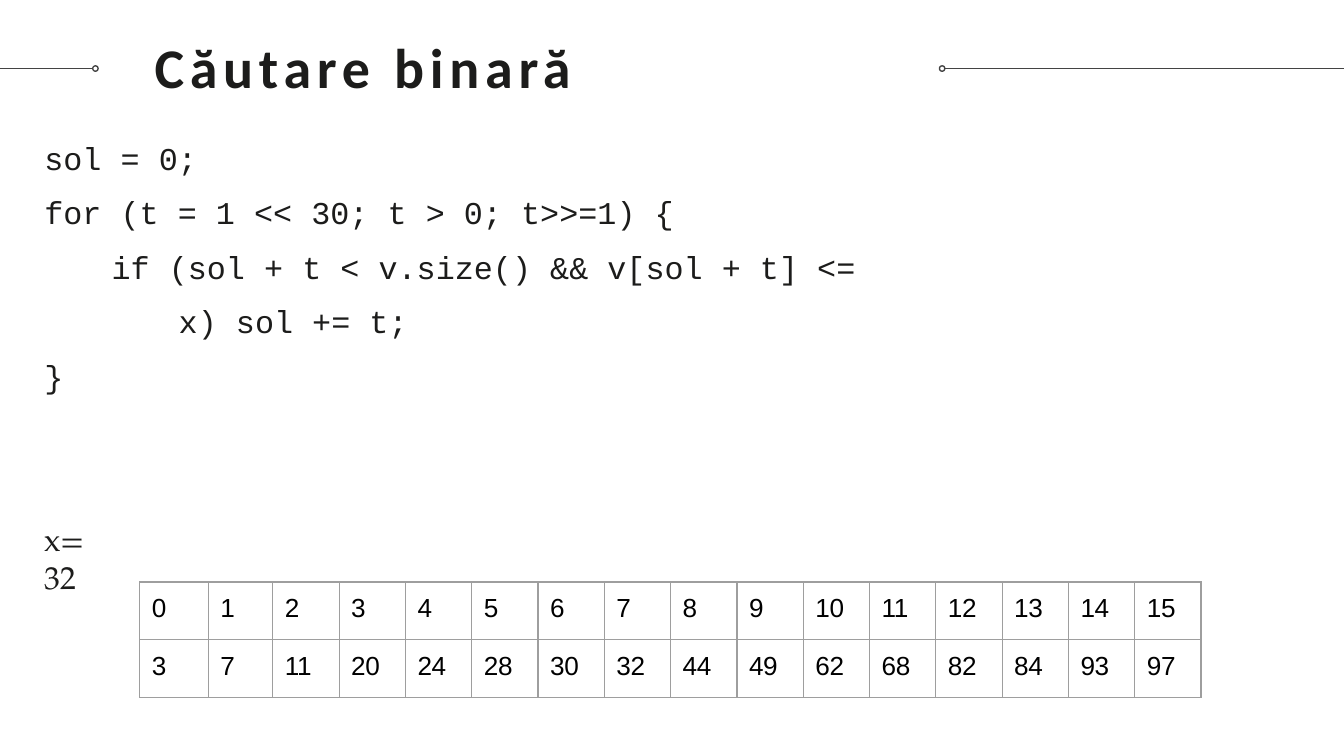
import pptx
import pptx.util
import pptx.dml.color
import pptx.enum.shapes
import pptx.enum.text
import pptx.oxml
import pptx.oxml.ns

Inches = pptx.util.Inches
Pt = pptx.util.Pt
RGB = pptx.dml.color.RGBColor.from_string

theme = {
    "rule": "434343", "grid": "9E9E9E", "rule_w": 0.75,
    "title": {"name": "Calibri", "size": Pt(30), "bold": True, "ink": "1C1C1B"},
    "code": {"name": "Courier New", "size": Pt(17), "bold": False, "ink": "1C1C1B"},
    "key": {"name": "TeX Gyre Pagella", "size": Pt(17), "bold": False, "ink": "1C1C1B"},
    "cell": {"name": "Arial", "size": Pt(14), "bold": False, "ink": "000000"},
}


def write(para, text, look, left=0.01, hang=0, space=0, lines=1, track=0):
    form = {"alignment": pptx.enum.text.PP_ALIGN.LEFT,
            "space_before": Pt(space), "line_spacing": lines}
    for name, value in form.items():
        setattr(para, name, value)
    props = para._p.get_or_add_pPr()
    props.set("marL", str(Inches(left)))
    props.set("indent", str(Inches(hang)))
    props.append(props.makeelement(pptx.oxml.ns.qn("a:buNone"), {}))
    run = para.add_run()
    run.text = text
    for name, value in theme[look].items():
        if name == "ink":
            run.font.color.rgb = RGB(value)
        else:
            setattr(run.font, name, value)
    run._r.get_or_add_rPr().set("spc", str(round(track * 100)))


def place(shape, box, top, right=0):
    for name, value in zip(("left", "top", "width", "height"), box):
        setattr(shape, name, Inches(value))
    form = {"margin_left": 0, "margin_top": Inches(top),
            "margin_right": Inches(right), "margin_bottom": 0, "word_wrap": True,
            "vertical_anchor": pptx.enum.text.MSO_ANCHOR.TOP,
            "auto_size": pptx.enum.text.MSO_AUTO_SIZE.SHAPE_TO_FIT_TEXT}
    for name, value in form.items():
        setattr(shape.text_frame, name, value)
    return shape.text_frame


deck = pptx.Presentation()
deck.slide_width = Inches(10)
deck.slide_height = Inches(10) * 9 // 16
slide = deck.slides.add_slide(deck.slide_layouts[1])
shapes = slide.shapes

for start, end, ring in ((0, 0.69, 0.69), (7.03, 10, 6.99)):
    rule = shapes.add_connector(
        pptx.enum.shapes.MSO_CONNECTOR.STRAIGHT,
        Inches(start), Inches(0.51), Inches(end), Inches(0.51))
    rule._element.spPr.append(
        rule._element.makeelement(pptx.oxml.ns.qn("a:effectLst"), {}))
    dot = shapes.add_shape(
        pptx.enum.shapes.MSO_SHAPE.OVAL,
        Inches(ring), Inches(0.49), Inches(0.04), Inches(0.04))
    dot.shadow.inherit = False
    dot.fill.background()
    for part in (rule, dot):
        part.line.color.rgb = RGB(theme["rule"])
        part.line.width = Pt(theme["rule_w"])

title = place(shapes.title, (1.14, 0.23, 4.5, 0.53), 0.01)
write(title.paragraphs[0], "Căutare binară", "title", space=1, track=3.1)

code = place(slide.placeholders[1], (0.32, 0.89, 6.48, 2.87), 0.14, 0.2)
steps = (
    ("sol = 0;", {"space": 9.8}),
    ("for (t = 1 << 30; t > 0; t>>=1) {", {"space": 8.8}),
    ("if (sol + t < v.size() && v[sol + t] <= x) sol += t;",
     {"left": 1.01, "hang": -0.5, "lines": 1.43}),
    ("}", {"space": 8.8}),
)
for row, (text, form) in enumerate(steps):
    para = code.add_paragraph() if row else code.paragraphs[0]
    write(para, text, "code", **form)

key = place(shapes.add_textbox(0, 0, 0, 0), (0.32, 3.86, 0.59, 0.31), 0.01, 0.1)
write(key.paragraphs[0], "x= 32", "key", space=1)

data = (range(16),
        (3, 7, 11, 20, 24, 28, 30, 32, 44, 49, 62, 68, 82, 84, 93, 97))
table = shapes.add_table(
    2, 16, Inches(1.04), Inches(4.33), Inches(7.91), Inches(0.86)).table
table.first_row = False
table.horz_banding = False
for spot, col in enumerate(table.columns):
    col.width = Inches({0: 0.51, 1: 0.48}.get(spot, 6.91 / 14))
for row, nums in enumerate(data):
    table.rows[row].height = Inches(0.43)
    for col, num in enumerate(nums):
        cell = table.cell(row, col)
        form = {"margin_left": 0, "margin_top": Inches(0.09),
                "margin_right": 0, "margin_bottom": 0}
        for name, value in form.items():
            setattr(cell, name, value)
        cell.fill.background()
        props = cell._tc.get_or_add_tcPr()
        for rank, side in enumerate("LRTB"):
            props.insert(rank, pptx.oxml.parse_xml(
                f'<a:ln{side} {pptx.oxml.ns.nsdecls("a")} w="{Pt(theme["rule_w"])}">'
                f'<a:solidFill><a:srgbClr val="{theme["grid"]}"/></a:solidFill>'
                f'</a:ln{side}>'))
        write(cell.text_frame.paragraphs[0], str(num), "cell", left=0.09,
              space=6.2, track=-0.2 if num > 9 else 0)

deck.save("out.pptx")
